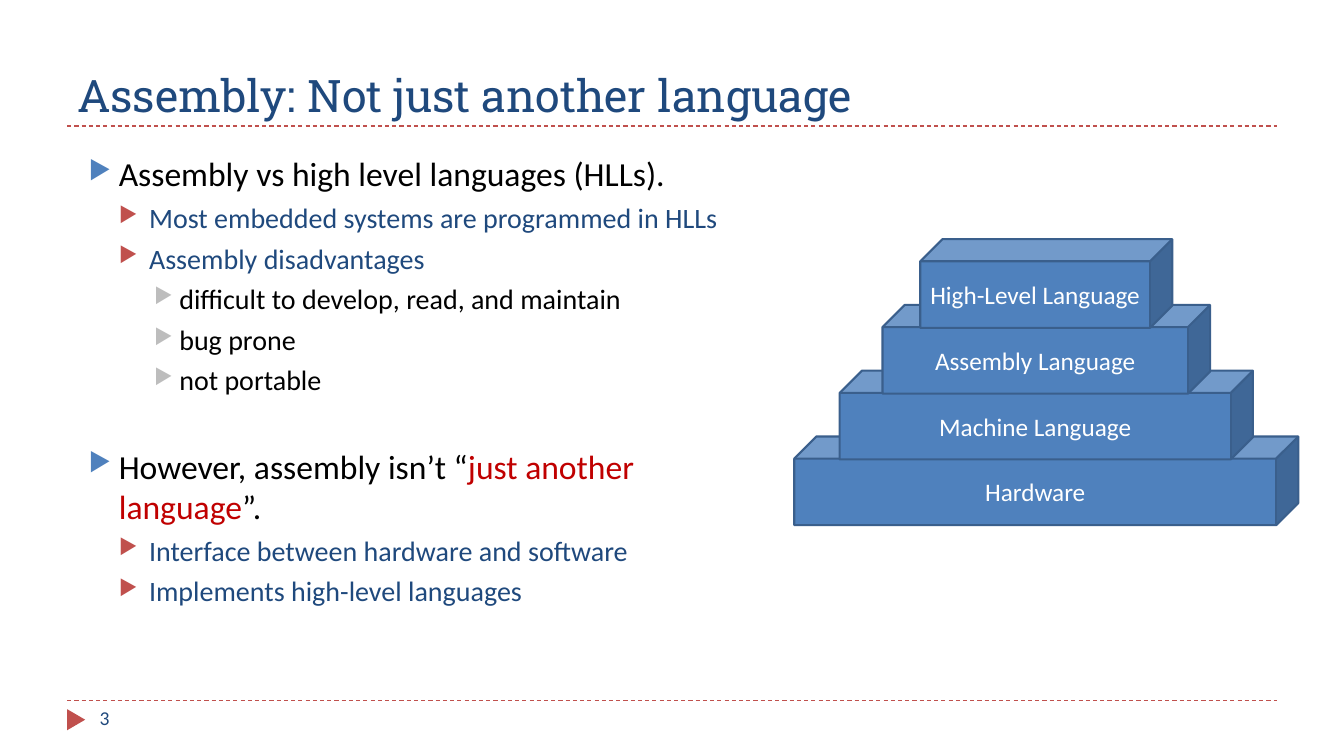
from dataclasses import dataclass

from lxml.etree import SubElement
from pptx import Presentation
from pptx.dml.color import RGBColor
from pptx.enum.dml import MSO_LINE
from pptx.enum.shapes import MSO_CONNECTOR, MSO_SHAPE
from pptx.enum.text import MSO_ANCHOR, PP_ALIGN
from pptx.oxml.ns import qn
from pptx.slide import Slide
from pptx.text.text import TextFrame
from pptx.util import Inches, Pt

COLORS = {
    "navy": "1F497D", "blue": "4F81BD", "edge": "3A5F8C", "red": "C0504D",
    "accent": "C00000", "gray": "BDBDBD", "black": "000000", "white": "FFFFFF",
}
BODY_FONT, TITLE_FONT = "Calibri", "Roboto Slab"

# Grid of 40 columns by 30 rows
WIDTH, HEIGHT = Inches(13.33), Inches(7.5)
LEFT, RIGHT = 2, 38
TITLE_RULE, FOOTER_RULE = 5, 27.8


@dataclass(frozen=True)
class Level:
    size: int
    color: str
    bullet: str
    indent: float
    hang: float
    before: int


@dataclass(frozen=True)
class Item:
    level: int
    runs: tuple[tuple[str, str | None], ...]
    gap: int = 0


@dataclass(frozen=True)
class Layer:
    text: str
    width: float


LEVELS = (
    Level(24, "black", "blue", 0.3, 0.3, 6),
    Level(20, "navy", "red", 0.6, 0.3, 5),
    Level(20, "black", "gray", 0.9, 0.25, 5),
)

ITEMS = (
    Item(0, (("Assembly vs high level languages (HLLs).", None),)),
    Item(1, (("Most embedded systems are programmed in HLLs", None),)),
    Item(1, (("Assembly disadvantages", None),)),
    Item(2, (("difficult to develop, read, and maintain", None),)),
    Item(2, (("bug prone", None),)),
    Item(2, (("not portable", None),)),
    Item(0, (("However, assembly isn’t “", None),
             ("just another language", "accent"), ("”.", None)), gap=29),
    Item(1, (("Interface between hardware and software", None),)),
    Item(1, (("Implements high-level languages", None),)),
)

# Pyramid layers from bottom to top, widths in columns
LAYERS = (
    Layer("Hardware", 15),
    Layer("Machine Language", 12.3),
    Layer("Assembly Language", 9.75),
    Layer("High-Level Language", 7.5),
)
PYRAMID_CENTER, PYRAMID_TOP = 31.14, 17.32
LAYER_HEIGHT, LAYER_STEP = 3.52, 2.61


def col(n: float) -> int:
    return round(WIDTH * n / 40)


def row(n: float) -> int:
    return round(HEIGHT * n / 30)


def rgb(name: str) -> RGBColor:
    return RGBColor.from_string(COLORS[name])


def add_run(p, text: str, *, size: float, color: str, font: str = BODY_FONT) -> None:
    r = p.add_run()
    r.text = text
    r.font.size, r.font.name = Pt(size), font
    r.font.color.rgb = rgb(color)


def add_frame(s: Slide, x: float, y: float, w: float, h: float,
              anchor: MSO_ANCHOR = MSO_ANCHOR.TOP) -> TextFrame:
    tf = s.shapes.add_textbox(col(x), row(y), col(w), row(h)).text_frame
    tf.word_wrap = True
    tf.vertical_anchor = anchor
    return tf


def add_rule(s: Slide, y: float) -> None:
    line = s.shapes.add_connector(MSO_CONNECTOR.STRAIGHT,
                                  col(LEFT), row(y), col(RIGHT), row(y))
    line.line.color.rgb = rgb("red")
    line.line.width = Pt(0.75)
    line.line.dash_style = MSO_LINE.DASH
    SubElement(line.element.spPr, qn("a:effectLst"))


def add_bullet(p, level: Level) -> None:
    pPr = p._p.get_or_add_pPr()
    pPr.set("marL", str(Inches(level.indent)))
    pPr.set("indent", str(-Inches(level.hang)))
    color = SubElement(pPr, qn("a:buClr"))
    SubElement(color, qn("a:srgbClr"), val=COLORS[level.bullet])
    SubElement(pPr, qn("a:buSzPct"), val="76000")
    SubElement(pPr, qn("a:buChar"), char="▶")


def add_items(tf: TextFrame, items: tuple[Item, ...]) -> None:
    for i, item in enumerate(items):
        level = LEVELS[item.level]
        p = tf.add_paragraph() if i else tf.paragraphs[0]
        p.level = item.level
        p.space_before = Pt(level.before + item.gap if i else 0)
        add_bullet(p, level)
        for text, color in item.runs:
            add_run(p, text, size=level.size, color=color or level.color)


def add_pyramid(s: Slide) -> None:
    group = s.shapes.add_group_shape()
    for i, layer in enumerate(LAYERS):
        cube = group.shapes.add_shape(
            MSO_SHAPE.CUBE, col(PYRAMID_CENTER - layer.width / 2),
            row(PYRAMID_TOP - i * LAYER_STEP), col(layer.width), row(LAYER_HEIGHT))
        cube.shadow.inherit = False
        cube.fill.solid()
        cube.fill.fore_color.rgb = rgb("blue")
        cube.line.color.rgb = rgb("edge")
        cube.line.width = Pt(1.5)
        tf = cube.text_frame
        tf.word_wrap = False
        tf.vertical_anchor = MSO_ANCHOR.MIDDLE
        p = tf.paragraphs[0]
        p.alignment = PP_ALIGN.CENTER
        add_run(p, layer.text, size=18, color="white")


def add_footer(s: Slide) -> None:
    marker = s.shapes.add_shape(MSO_SHAPE.ISOSCELES_TRIANGLE,
                                col(1.95), row(28.2), col(0.63), row(0.72))
    marker.rotation = 90
    marker.shadow.inherit = False
    marker.fill.solid()
    marker.fill.fore_color.rgb = rgb("red")
    marker.line.fill.background()
    tf = add_frame(s, 2.67, FOOTER_RULE, 8.67, 1.6)
    add_run(tf.paragraphs[0], "3", size=14, color="navy")


def main() -> None:
    prs = Presentation()
    prs.slide_width, prs.slide_height = WIDTH, HEIGHT
    s = prs.slides.add_slide(prs.slide_layouts[6])

    # Frame of the slide
    for y in (FOOTER_RULE, TITLE_RULE):
        add_rule(s, y)
    add_footer(s)

    # Title
    title = add_frame(s, LEFT, 0.68, RIGHT - LEFT, 4.32, MSO_ANCHOR.BOTTOM)
    add_run(title.paragraphs[0], "Assembly: Not just another language",
            size=32, color="navy", font=TITLE_FONT)

    # Bullets and pyramid
    add_items(add_frame(s, 2.34, 5.88, 20.65, 21.28), ITEMS)
    add_pyramid(s)

    prs.save("out.pptx")


if __name__ == "__main__":
    main()
